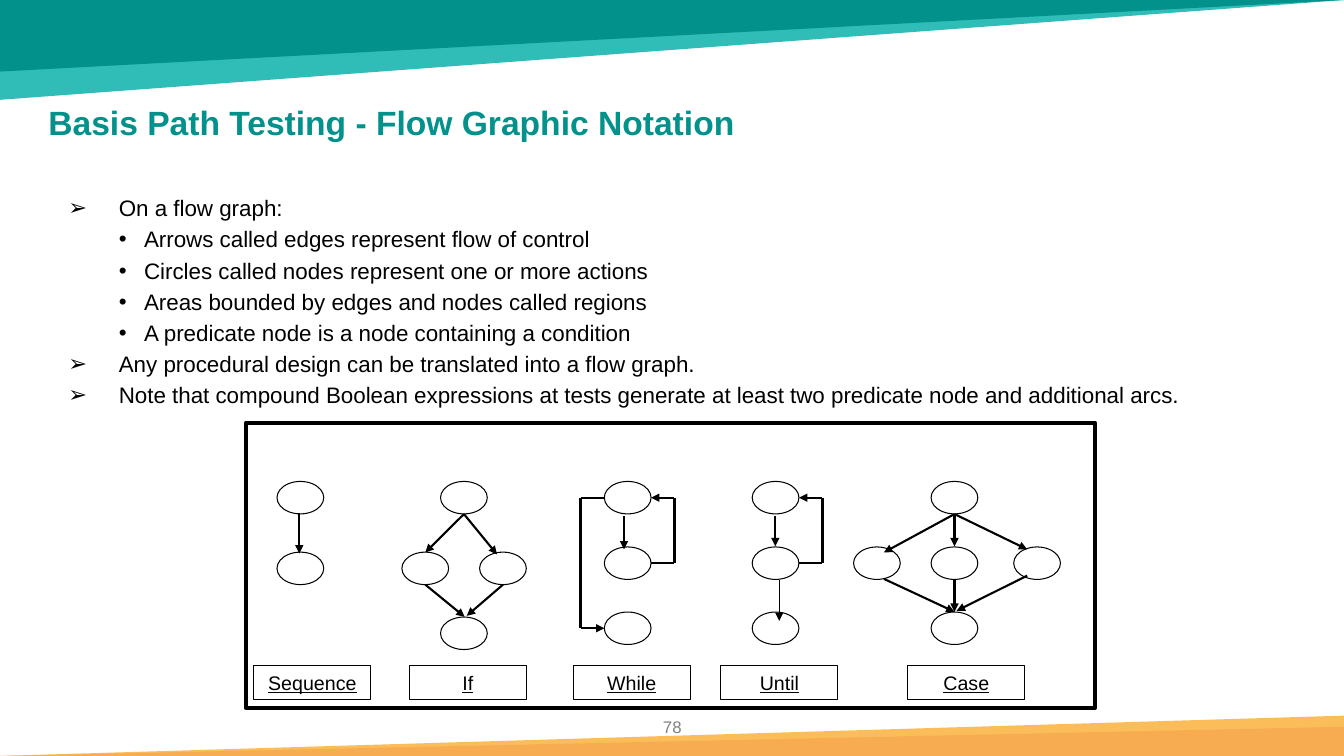
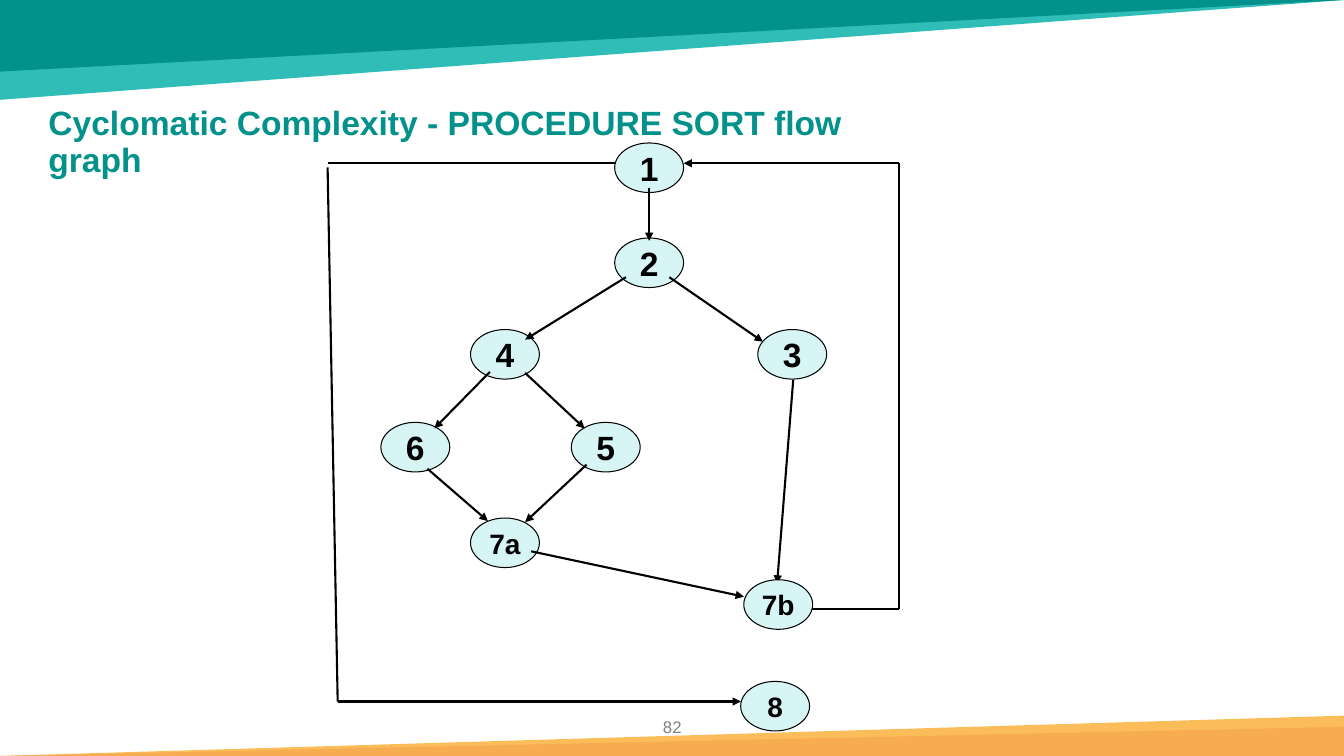
from dataclasses import dataclass
from lxml import etree
from pptx import Presentation
from pptx.dml.color import RGBColor
from pptx.enum import shapes, text
from pptx.oxml import ns
from pptx.util import Pt


@dataclass(frozen=True)
class Theme:
    """Colours, typeface, type sizes and line widths of the deck."""
    font: str = "Arial"
    title: str = "02918B"
    ink: str = "000000"
    page: str = "808080"
    node: str = "D7F5F4"
    title_size: float = 24
    body_size: float = 16
    label_size: float = 14
    page_size: float = 12
    thin: float = 0.75
    medium: float = 1.5
    thick: float = 3
    top_bands: tuple = (("30BDB7", 71.3), ("02918B", 51.1))
    foot_bands: tuple = (("FBBD5A", 28.8), ("F8AC52", 20.9))


THEME = Theme()
WIDTH, HEIGHT = 960, 540
ROW = {"top": 355.5, "mid": 402.3, "low": 448.8}
SMALL_NODE = (33.4, 23.2)
LARGE_NODE = (49.2, 35.4)
BULLETS = (("➢", 36, -36), ("•", 54, -18))

POINTS = [
    (0, "On a flow graph:"),
    (1, "Arrows called edges represent flow of control"),
    (1, "Circles called nodes represent one or more actions"),
    (1, "Areas bounded by edges and nodes called regions"),
    (1, "A predicate node is a node containing a condition"),
    (0, "Any procedural design can be translated into a flow graph."),
    (0, "Note that compound Boolean expressions at tests generate at least "
        "two predicate node and additional arcs."),
]
LABELS = [("Sequence", 181.4), ("If", 292.5), ("While", 409.5),
          ("Until", 515), ("Case", 648.5)]
STRUCTURE_NODES = [
    (214.6, ROW["top"]), (214.6, 406),
    (331.4, ROW["top"]), (303.8, 406), (359.3, 406), (331.4, 452.4),
    *[(x, y) for x in (448.4, 554, 681.8) for y in ROW.values()],
    (626.4, ROW["mid"]), (740.8, ROW["mid"]),
]
STRUCTURE_EDGES = [
    [(213.8, 366.5), (213.8, 395.3)],
    [(331.4, 367.2), (303.8, 394.6)],
    [(331.4, 367.2), (355, 396)],
    [(303.8, 417.6), (331.9, 440.6)],
    [(359.3, 417.6), (333.4, 439.9)],
    [(445.7, 368.6), (445.7, 392.4)],
    [(431.7, ROW["top"]), (414.7, ROW["top"]),
     (414.7, ROW["low"]), (431.7, ROW["low"])],
    [(553.8, 368.6), (553.8, 390.2)],
    [(681.8, 367.2), (681.8, 390.2)],
    [(681.8, 367.2), (631.4, 394.6)],
    [(681.8, 367.2), (733.7, 392.4)],
    [(681.8, 413.5), (681.8, 437)],
    [(631.4, 413.5), (681.8, 437)],
    [(733.7, 411.2), (683.3, 436.3)],
]
SORT_NODES = [
    ("1", 463.7, 119.8, 24), ("2", 463.7, 187.7, 24),
    ("4", 360.7, 253.1, 24), ("3", 565.9, 253.1, 24),
    ("5", 432.7, 319.4, 24), ("6", 296.7, 319.4, 24),
    ("7a", 360.7, 387.7, 20), ("8", 553.7, 504.4, 20),
]
SORT_JOIN = ("7b", 555.9, 431.8, 20)
SORT_EDGES = [
    [(463.7, 134.6), (463.7, 172.1)],
    [(447.1, 198), (375.1, 242.6)],
    [(478.1, 198), (545, 244.1)],
    [(349.9, 265.7), (310.3, 306)],
    [(375.1, 266.4), (417.6, 306)],
    [(305.3, 334.8), (348.5, 372.2)],
    [(419, 331.9), (375.1, 373)],
    [(566.6, 271.4), (555.1, 416.9)],
    [(379.4, 393.8), (531.4, 426.2)],
    [(570.2, 434.9), (642.2, 434.9), (642.2, 116.6), (488.3, 116.6)],
    [(234, 119.5), (241.2, 501.1), (529.2, 501.1)],
]


def rgb(value):
    """Return the colour for a hex string."""
    return RGBColor.from_string(value)


def style(p, size, color, bold=False, underline=False):
    """Format every run of a paragraph."""
    for r in p.runs:
        f = r.font
        f.name, f.size, f.bold, f.underline = THEME.font, Pt(size), bold, underline
        f.color.rgb = rgb(color)


def add_box(s, kind, left, top, width, height, fill=None, line=None):
    """Add a preset shape with an optional fill and black outline."""
    sp = s.shapes.add_shape(kind, Pt(left), Pt(top), Pt(width), Pt(height))
    sp.shadow.inherit = False
    if fill:
        sp.fill.solid()
        sp.fill.fore_color.rgb = rgb(fill)
    else:
        sp.fill.background()
    if line:
        sp.line.color.rgb = rgb(THEME.ink)
        sp.line.width = Pt(line)
    else:
        sp.line.fill.background()
    return sp


def add_text(s, left, top, width, height):
    """Add a wrapping text box and return its text frame."""
    tf = s.shapes.add_textbox(Pt(left), Pt(top), Pt(width), Pt(height)).text_frame
    tf.word_wrap = True
    return tf


def center_text(sp, content, size, bold=False, underline=False):
    """Write one centred line into a shape."""
    tf = sp.text_frame
    tf.margin_left = tf.margin_right = tf.margin_top = tf.margin_bottom = 0
    tf.word_wrap = False
    tf.vertical_anchor = text.MSO_ANCHOR.MIDDLE
    tf.text = content
    p = tf.paragraphs[0]
    p.alignment = text.PP_ALIGN.CENTER
    style(p, size, THEME.ink, bold, underline)


def add_node(s, x, y, size, fill=None):
    """Add an ellipse centred on a point."""
    w, h = size
    return add_box(s, shapes.MSO_SHAPE.OVAL, x - w / 2, y - h / 2, w, h,
                   fill, THEME.thin)


def add_route(s, points, width=THEME.medium, arrow=True):
    """Join points by straight connectors, with an arrowhead on the last."""
    for (x1, y1), (x2, y2) in zip(points, points[1:]):
        c = s.shapes.add_connector(shapes.MSO_CONNECTOR.STRAIGHT,
                                   Pt(x1), Pt(y1), Pt(x2), Pt(y2))
        c.line.color.rgb = rgb(THEME.ink)
        c.line.width = Pt(width)
        etree.SubElement(c._element.spPr, ns.qn("a:effectLst"))
    if arrow:
        etree.SubElement(c.line._get_or_add_ln(), ns.qn("a:tailEnd"), type="triangle")


def add_band(s, color, height, at_top):
    """Add a full-width sloping band at the top or the foot."""
    sp = add_box(s, shapes.MSO_SHAPE.RIGHT_TRIANGLE, 0,
                 0 if at_top else HEIGHT - height, WIDTH, height, color)
    sp.rotation = 180 if at_top else 0
    sp._element.spPr.xfrm.set("flipH", "1")


def add_bullets(s, items):
    """Add the two-level bulleted body text."""
    tf = add_text(s, 41.8, 137.5, 836.6, 360)
    for i, (level, content) in enumerate(items):
        p = tf.add_paragraph() if i else tf.paragraphs[0]
        p.text = content
        p.level = level
        p.alignment = text.PP_ALIGN.JUSTIFY
        p.line_spacing = 0.9
        p.space_before = Pt(5 if i else 0)
        mark, margin, indent = BULLETS[level]
        pPr = p._p.get_or_add_pPr()
        pPr.set("marL", str(Pt(margin)))
        pPr.set("indent", str(Pt(indent)))
        etree.SubElement(pPr, ns.qn("a:buFont"), typeface=THEME.font)
        etree.SubElement(pPr, ns.qn("a:buChar"), char=mark)
        style(p, THEME.body_size, THEME.ink)


def new_slide(prs, title, number):
    """Start a slide with its bands, title and page number."""
    s = prs.slides.add_slide(prs.slide_layouts[6])
    for bands, at_top in ((THEME.top_bands, True), (THEME.foot_bands, False)):
        for color, height in bands:
            add_band(s, color, height, at_top)
    tf = add_text(s, 456.5, 508.3, 47.5, 21.6)
    tf.text = number
    tf.paragraphs[0].alignment = text.PP_ALIGN.CENTER
    style(tf.paragraphs[0], THEME.page_size, THEME.page)
    tf = add_text(s, 27.4, 72.7, 633, 28.8)
    tf.text = title
    tf.paragraphs[0].line_spacing = 0.9
    style(tf.paragraphs[0], THEME.title_size, THEME.title, bold=True)
    return s


def notation_slide(prs):
    """Build the slide of flow graph structures."""
    s = new_slide(prs, "Basis Path Testing - Flow Graphic Notation", "78")
    for x, y in STRUCTURE_NODES:
        add_node(s, x, y, SMALL_NODE)
    for points in STRUCTURE_EDGES:
        add_route(s, points)
    for x in (465.1, 570.8):
        add_route(s, [(x, ROW["mid"]), (x + 16.7, ROW["mid"]),
                      (x + 16.7, ROW["top"]), (x, ROW["top"])])
    add_route(s, [(556.6, 414), (556.6, 443.5)], THEME.thin)
    for label, left in LABELS:
        sp = add_box(s, shapes.MSO_SHAPE.RECTANGLE, left, 475.2, 83.5, 24.5,
                     line=THEME.thin)
        center_text(sp, label, THEME.label_size, underline=True)
    add_box(s, shapes.MSO_SHAPE.RECTANGLE, 175.7, 301.9, 606.5, 203.8,
            line=THEME.thick)
    add_bullets(s, POINTS)


def sort_slide(prs):
    """Build the slide of the sort procedure's flow graph."""
    s = new_slide(prs, "Cyclomatic Complexity - PROCEDURE SORT flow graph", "82")

    def add_step(name, x, y, size):
        """Add a named node."""
        center_text(add_node(s, x, y, LARGE_NODE, THEME.node), name, size, bold=True)

    for step in SORT_NODES:
        add_step(*step)
    for points in SORT_EDGES:
        add_route(s, points)
    add_route(s, [(439.2, 116.6), (234, 116.6)], arrow=False)
    add_step(*SORT_JOIN)


def main():
    """Build and save the deck."""
    prs = Presentation()
    prs.slide_width, prs.slide_height = Pt(WIDTH), Pt(HEIGHT)
    notation_slide(prs)
    sort_slide(prs)
    prs.save("out.pptx")


if __name__ == "__main__":
    main()
